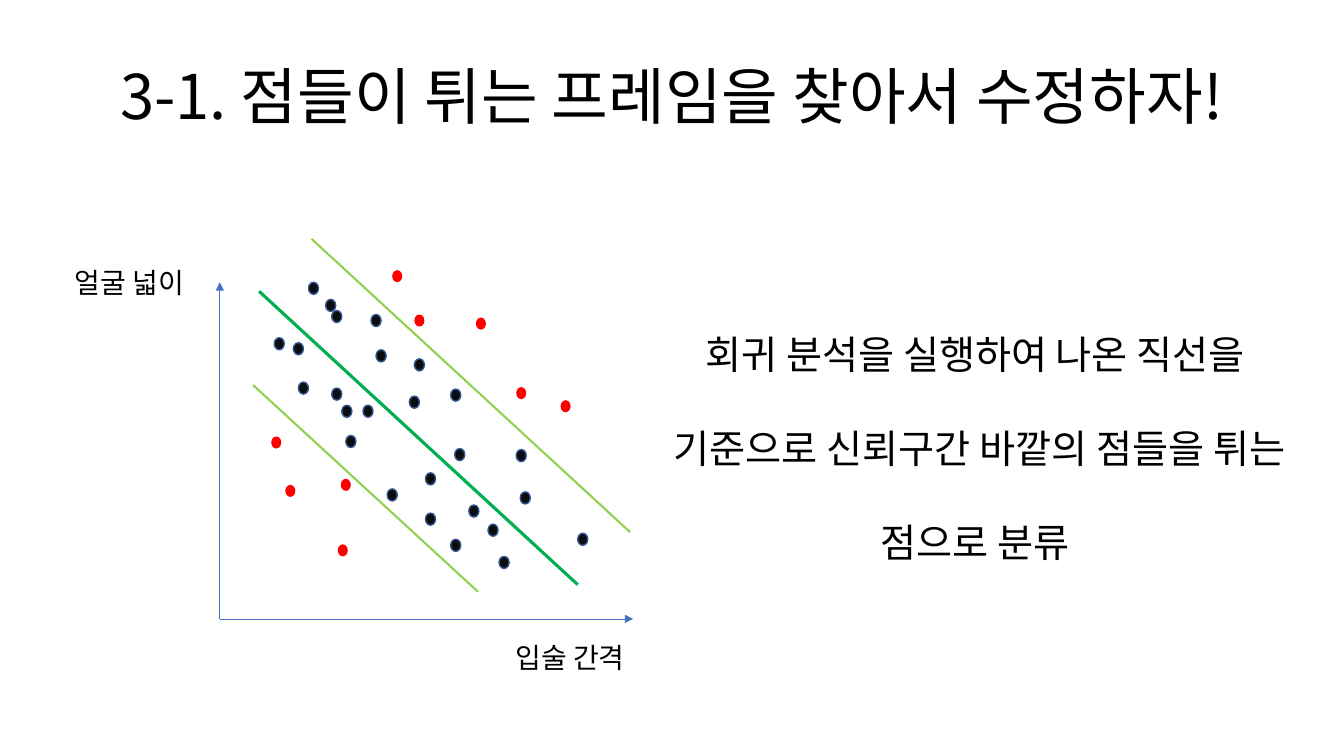
"""Build a slide that sorts scattered points by a regression line's confidence band."""
from dataclasses import dataclass

from lxml import etree
from pptx import Presentation
from pptx import util as u
from pptx.dml.color import RGBColor
from pptx.enum import shapes, text
from pptx.oxml import ns


@dataclass(frozen=True)
class Theme:
    font: str = "Noto Sans CJK KR"
    ink: str = "000000"
    paper: str = "FFFFFF"
    axis: str = "4472C4"
    inlier: str = "0D0D0D"
    inlier_edge: str = "325491"
    outlier: str = "FF0000"
    regression: str = "00B050"
    band: str = "92D050"
    title_size: int = 44
    body_size: int = 28
    label_size: int = 20


THEME = Theme()
DOT_WIDTH, DOT_HEIGHT = 0.1, 0.12
LABEL_WIDTH, LABEL_HEIGHT = 1.63, 0.43
ORIGIN = (2.18, 6.14)
AXIS_ENDS = [(6.28, 6.14), (2.18, 2.8)]
AXIS_LABELS = [("입술 간격", 4.84, 6.31), ("얼굴 넓이", 0.47, 2.59)]
INLIERS = [
    (2.72, 3.35), (2.91, 3.4), (2.96, 3.79), (3.29, 3.85), (3.39, 4.02),
    (3.43, 4.32), (3.6, 4.02), (3.84, 4.85), (4.22, 4.69), (4.22, 5.09),
    (4.65, 5.01), (4.47, 5.35), (4.84, 5.2), (4.95, 5.52), (3.29, 3.08),
    (3.06, 2.8), (3.23, 2.97), (3.68, 3.12), (5.73, 5.29), (3.73, 3.47),
    (4.11, 3.56), (4.06, 3.93), (4.47, 3.86), (4.51, 4.45), (5.12, 4.46),
    (5.16, 4.88),
]
OUTLIERS = [
    (3.35, 5.4), (2.83, 4.81), (3.38, 4.75), (4.11, 3.12), (3.89, 2.68),
    (4.72, 3.15), (5.12, 3.84), (5.56, 3.97), (2.69, 4.33),
]
BAND_LINES = [((3.09, 2.37), (6.25, 5.28)), ((2.51, 3.82), (4.74, 5.87))]
REGRESSION_LINE = ((2.57, 2.89), (5.73, 5.8))
TITLE = "3-1. 점들이 튀는 프레임을 찾아서 수정하자!"
EXPLANATION = [
    "회귀 분석을 실행하여 나온 직선을 ",
    "기준으로 신뢰구간 바깥의 점들을 튀는 점으로 분류 ",
]


def paint(target, color):
    target.fill.solid()
    target.fill.fore_color.rgb = RGBColor.from_string(color)


def write(para, words, size, spacing=None):
    para.alignment = text.PP_ALIGN.CENTER
    para.line_spacing = spacing
    span = para.add_run()
    span.text = words
    span.font.size = u.Pt(size)
    span.font.name = THEME.font
    span.font.color.rgb = RGBColor.from_string(THEME.ink)
    properties = span.font._element
    east_asian = etree.SubElement(properties, ns.qn("a:ea"))
    east_asian.set("typeface", THEME.font)


def add_line(plot, start, end, color, width, arrow=False):
    points = [u.Inches(value) for value in (*start, *end)]
    line = plot.shapes.add_connector(shapes.MSO_CONNECTOR.STRAIGHT, *points)
    line.line.color.rgb = RGBColor.from_string(color)
    line.line.width = u.Pt(width)
    if arrow:
        head = etree.SubElement(line.line._get_or_add_ln(), ns.qn("a:tailEnd"))
        head.set("type", "triangle")
    etree.SubElement(line._element.spPr, ns.qn("a:effectLst"))


def add_filled(plot, kind, bounds, color, edge=None):
    shape = plot.shapes.add_shape(kind, *[u.Inches(value) for value in bounds])
    shape.shadow.inherit = False
    paint(shape, color)
    if edge:
        shape.line.color.rgb = RGBColor.from_string(edge)
        shape.line.width = u.Pt(1)
    else:
        shape.line.fill.background()
    return shape


def add_dots(plot, corners, color, edge=None):
    for left, top in corners:
        bounds = (left, top, DOT_WIDTH, DOT_HEIGHT)
        add_filled(plot, shapes.MSO_SHAPE.OVAL, bounds, color, edge)


def add_label(plot, words, left, top):
    bounds = (left, top, LABEL_WIDTH, LABEL_HEIGHT)
    label = add_filled(plot, shapes.MSO_SHAPE.RECTANGLE, bounds, THEME.paper)
    label.text_frame.vertical_anchor = text.MSO_ANCHOR.MIDDLE
    label.text_frame.word_wrap = True
    write(label.text_frame.paragraphs[0], words, THEME.label_size)


def add_plot(page):
    plot = page.shapes.add_group_shape()
    for end in AXIS_ENDS:
        add_line(plot, ORIGIN, end, THEME.axis, 0.5, arrow=True)
    add_dots(plot, INLIERS, THEME.inlier, THEME.inlier_edge)
    add_dots(plot, OUTLIERS, THEME.outlier)
    for start, end in BAND_LINES:
        add_line(plot, start, end, THEME.band, 1.5)
    for words, left, top in AXIS_LABELS:
        add_label(plot, words, left, top)
    add_line(plot, *REGRESSION_LINE, THEME.regression, 2.25)


def add_explanation(page):
    bounds = [u.Inches(value) for value in (6.52, 2.76, 6.39, 2.78)]
    box = page.shapes.add_textbox(*bounds)
    frame = box.text_frame
    frame.word_wrap = True
    frame.auto_size = text.MSO_AUTO_SIZE.SHAPE_TO_FIT_TEXT
    for index, words in enumerate(EXPLANATION):
        para = frame.add_paragraph() if index else frame.paragraphs[0]
        write(para, words, THEME.body_size, 2.0)


def set_title(page):
    title = page.shapes.title
    title.left, title.top = u.Inches(0.34), u.Inches(0.26)
    title.width, title.height = u.Inches(12.65), u.Inches(1.45)
    title.text_frame.vertical_anchor = text.MSO_ANCHOR.MIDDLE
    title.text_frame.word_wrap = True
    write(title.text_frame.paragraphs[0], TITLE, THEME.title_size, 0.9)


def main():
    deck = Presentation()
    deck.slide_width, deck.slide_height = u.Inches(13.33), u.Inches(7.5)
    page = deck.slides.add_slide(deck.slide_layouts.get_by_name("Title Only"))
    paint(page.background, THEME.paper)
    add_plot(page)
    add_explanation(page)
    set_title(page)
    deck.save("out.pptx")


if __name__ == "__main__":
    main()
